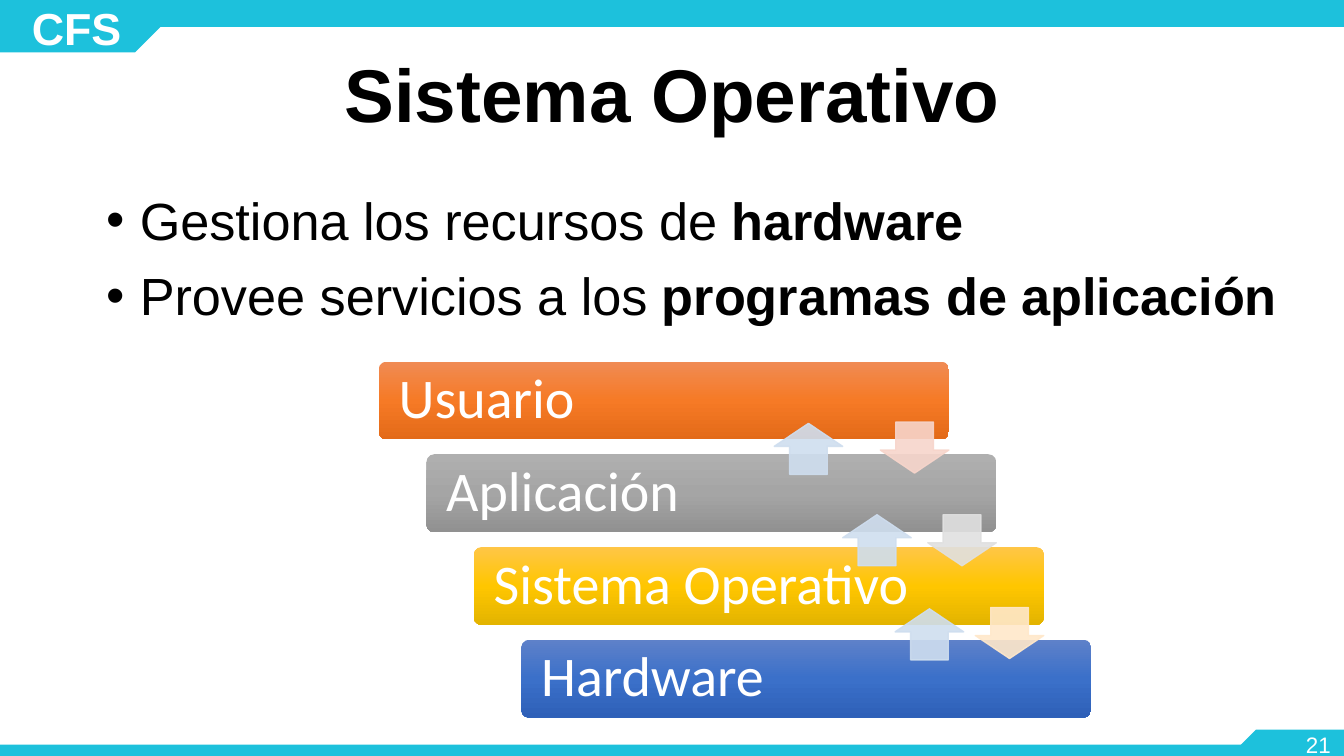
from dataclasses import dataclass

from lxml import etree
from pptx import Presentation
from pptx.dml.color import RGBColor
from pptx.enum.shapes import MSO_SHAPE
from pptx.enum.text import MSO_ANCHOR, MSO_AUTO_SIZE, PP_ALIGN
from pptx.oxml.ns import qn
from pptx.util import Inches, Pt

RECT, ROUND, SNIP, ARROW = (MSO_SHAPE.RECTANGLE, MSO_SHAPE.ROUNDED_RECTANGLE,
                            MSO_SHAPE.SNIP_1_RECTANGLE, MSO_SHAPE.DOWN_ARROW)
LEFT, CENTER, RIGHT = PP_ALIGN.LEFT, PP_ALIGN.CENTER, PP_ALIGN.RIGHT
MIDDLE, TOP = MSO_ANCHOR.MIDDLE, MSO_ANCHOR.TOP


@dataclass(frozen=True)
class Theme:
    font: str = "Arial"
    layer_font: str = "Calibri"
    accent: str = "1DC1DC"
    dark: str = "000000"
    light: str = "FFFFFF"
    up: str = "CFDEEF"
    title: int = 40
    layer: int = 30
    body: int = 28
    tag: int = 24
    number: int = 12


THEME = Theme()
W = 10
H = W * 9 / 16

TAG, NUMBER = "CFS", "21"
TITLE = "Sistema Operativo"
BULLETS = [("Gestiona los recursos de ", "hardware"),
           ("Provee servicios a los ", "programas de aplicación")]
# Name, then gradient colours from top to bottom
LAYERS = [("Usuario", ("F08B54", "F67A26", "E36A18")),
          ("Aplicación", ("AFAFAF", "A5A5A5", "919191")),
          ("Sistema Operativo", ("FFC647", "FFC600", "E3B400")),
          ("Hardware", ("5E81C9", "3B70C9", "2E60B8"))]
# Between neighbouring layers: down arrow colour, left and top of the up arrow
LINKS = [("F7D5CB", 5.76, 3.15), ("E0E0E0", 6.27, 3.83), ("FFE8CA", 6.66, 4.53)]

# Staircase of layers
X0, Y0, X_LAST, STEP_Y = 2.82, 2.69, 3.88, 0.69
STEP_X = (X_LAST - X0) / (len(LAYERS) - 1)
BAR_W, BAR_H = 4.24, 0.58
ARROW_W, ARROW_H = 0.51, 0.38
ARROW_DX, ARROW_DY = BAR_W - ARROW_W, 0.45


def rgb(color):
    return RGBColor.from_string(color)


def place(sp, box):
    sp.left, sp.top, sp.width, sp.height = map(Inches, box)


def add_block(slide, kind, box, color, adj=()):
    sp = slide.shapes.add_shape(kind, *map(Inches, box))
    sp.shadow.inherit = False
    sp.fill.solid()
    sp.fill.fore_color.rgb = rgb(color)
    sp.line.fill.background()
    for i, value in enumerate(adj):
        sp.adjustments[i] = value
    return sp


def add_tab(slide, box, rotation=0):
    """Add a corner tab with its slanted side towards the slide's middle."""
    sp = add_block(slide, SNIP, box, THEME.accent, [0.5])
    sp._element.spPr.find(qn("a:xfrm")).set("flipH", "1")
    sp.rotation = rotation


def set_frame(tf, anchor=MIDDLE, inset_x=0.1, inset_y=0.05):
    tf.word_wrap = True
    tf.auto_size = MSO_AUTO_SIZE.NONE
    tf.vertical_anchor = anchor
    tf.margin_left = tf.margin_right = Inches(inset_x)
    tf.margin_top = tf.margin_bottom = Inches(inset_y)


def style_run(r, size, color, bold=False, font=THEME.font):
    r.font.name, r.font.size, r.font.bold = font, Pt(size), bold
    r.font.color.rgb = rgb(color)


def write(tf, text, size, color, align=LEFT, bold=False, font=THEME.font, spacing=None):
    tf.text = text
    p = tf.paragraphs[0]
    p.alignment, p.line_spacing = align, spacing
    style_run(p.runs[0], size, color, bold, font)


def add_label(slide, box, text, size, align, bold=False, inset_y=0.05):
    tf = slide.shapes.add_textbox(*map(Inches, box)).text_frame
    set_frame(tf, inset_y=inset_y)
    write(tf, text, size, THEME.light, align, bold)


def set_gradient(sp, colors):
    """Fill with evenly spaced colours running from top to bottom."""
    sp.fill.gradient()
    grad = sp._element.spPr.find(qn("a:gradFill"))
    for child in list(grad):
        grad.remove(child)
    stops = etree.SubElement(grad, qn("a:gsLst"))
    for i, color in enumerate(colors):
        pos = 100000 * i // (len(colors) - 1)
        stop = etree.SubElement(stops, qn("a:gs"), pos=str(pos))
        etree.SubElement(stop, qn("a:srgbClr"), val=color)
    etree.SubElement(grad, qn("a:lin"), ang="5400000", scaled="0")


def add_arrow(slide, x, y, color, rotation=0):
    sp = add_block(slide, ARROW, (x, y, ARROW_W, ARROW_H), color, [0.55, 0.45])
    sp.rotation = rotation
    sp.line.color.rgb = rgb(color)
    sp.line.width = Pt(0.75)
    for clr in sp._element.spPr.iter(qn("a:srgbClr")):
        etree.SubElement(clr, qn("a:alpha"), val="90000")


def add_frame(slide):
    add_block(slide, RECT, (0, 5.54, W, 0.12), THEME.accent)
    add_tab(slide, (9.23, 5.43, 0.77, 0.23))
    add_block(slide, RECT, (1.12, 0, W - 1.12, 0.2), THEME.accent)
    add_tab(slide, (0, 0, 1.2, 0.39), 180)
    add_label(slide, (0.07, 0.03, 1, 0.35), TAG, THEME.tag, CENTER, True, 0.1)
    add_label(slide, (9.39, 5.39, 0.61, 0.3), NUMBER, THEME.number, RIGHT)


def fill_body(sp):
    place(sp, (0.69, 1.4, 8.95, 3.57))
    tf = sp.text_frame
    set_frame(tf, TOP)
    for i, parts in enumerate(BULLETS):
        p = tf.add_paragraph() if i else tf.paragraphs[0]
        p.line_spacing = 0.9
        p.space_before = Pt(10 if i else 0)
        pPr = p._p.get_or_add_pPr()
        pPr.set("marL", str(Inches(0.25)))
        pPr.set("indent", str(-Inches(0.25)))
        etree.SubElement(pPr, qn("a:buChar"), char="•")
        for text, bold in zip(parts, (False, True)):
            r = p.add_run()
            r.text = text
            style_run(r, THEME.body, THEME.dark, bold)


def add_layers(slide):
    for i, (name, colors) in enumerate(LAYERS):
        box = (X0 + i * STEP_X, Y0 + i * STEP_Y, BAR_W, BAR_H)
        sp = add_block(slide, ROUND, box, colors[1], [0.1])
        set_gradient(sp, colors)
        set_frame(sp.text_frame, inset_x=0.13)
        write(sp.text_frame, name, THEME.layer, THEME.light,
              font=THEME.layer_font, spacing=0.9)
    for i, (color, _, _) in enumerate(LINKS):
        add_arrow(slide, X0 + i * STEP_X + ARROW_DX,
                  Y0 + i * STEP_Y + ARROW_DY, color)
    for _, up_x, up_y in LINKS:
        add_arrow(slide, up_x, up_y, THEME.up, 180)


def main():
    prs = Presentation()
    prs.slide_width, prs.slide_height = Inches(W), Inches(H)
    slide = prs.slides.add_slide(prs.slide_layouts[1])
    title, body = slide.placeholders
    add_frame(slide)
    place(title, (0.69, 0.23, 8.62, 1))
    set_frame(title.text_frame)
    write(title.text_frame, TITLE, THEME.title, THEME.dark, CENTER, True, spacing=0.9)
    fill_body(body)
    add_layers(slide)
    prs.save("out.pptx")


if __name__ == "__main__":
    main()
